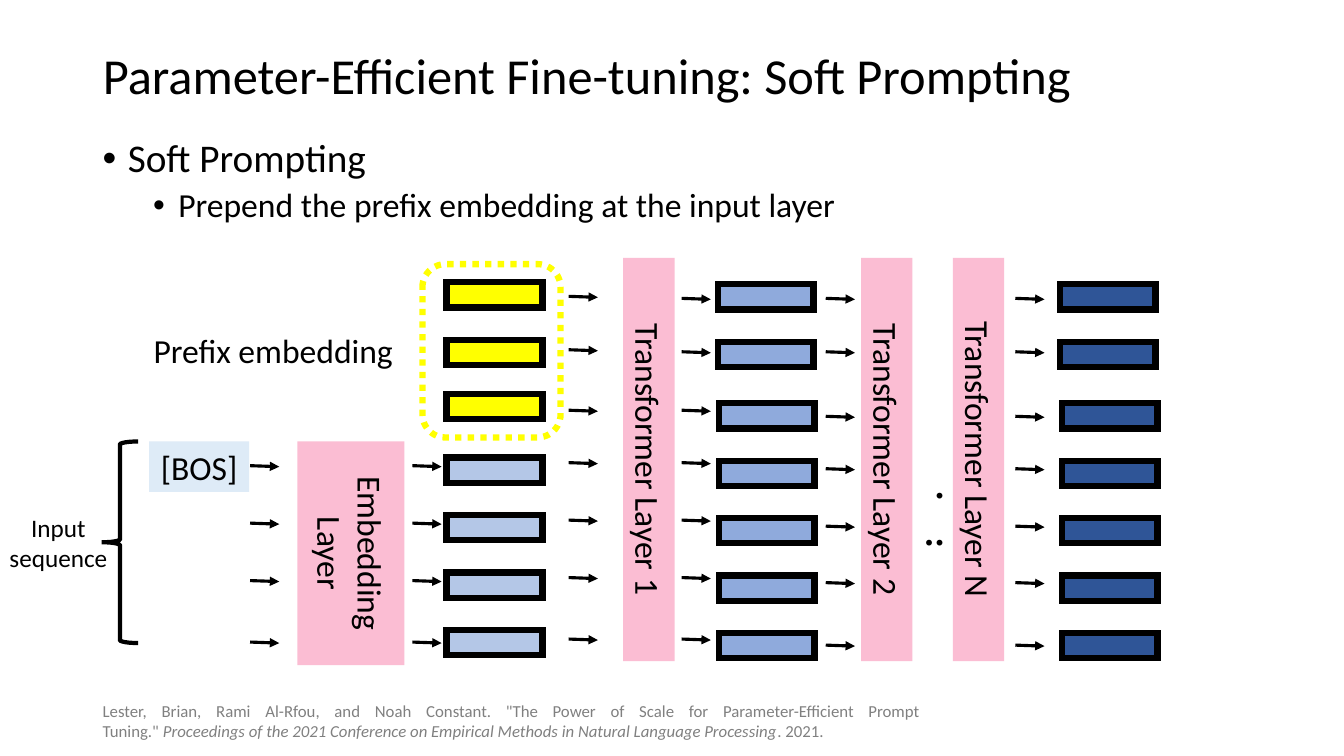
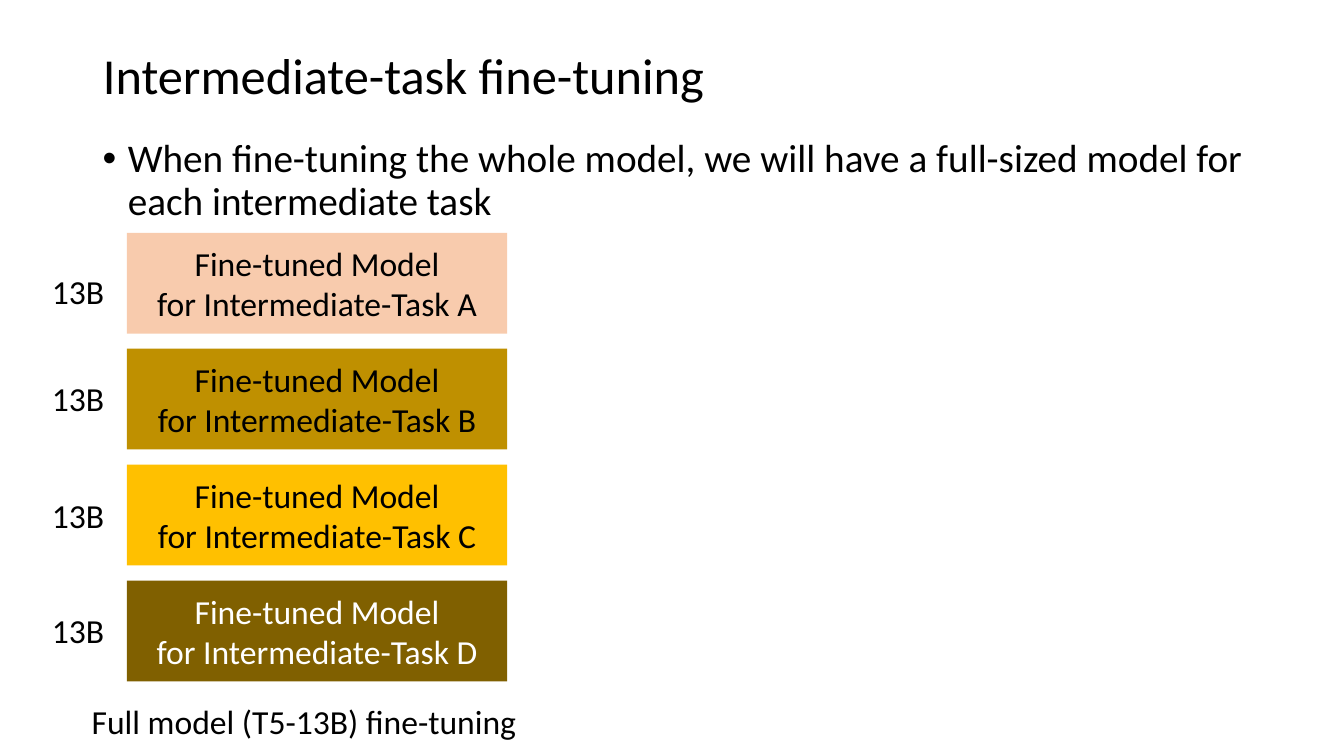
from lxml.etree import SubElement
from pptx import Presentation
from pptx.dml.color import RGBColor
from pptx.enum.dml import MSO_LINE
from pptx.enum.shapes import MSO_CONNECTOR, MSO_SHAPE
from pptx.enum.text import MSO_ANCHOR, MSO_AUTO_SIZE, PP_ALIGN
from pptx.oxml.ns import qn
from pptx.util import Inches, Pt

FONT = "Calibri"
BLACK, WHITE, GREY = "000000", "FFFFFF", "808080"
PINK, YELLOW, PALE_BLUE = "FBBDD3", "FFFF00", "DEEBF7"
EMBEDDING_BLUE, HIDDEN_BLUE, OUTPUT_BLUE = "B4C7E7", "8FAADC", "2F5597"
TITLE_ONLY = 5
HARD_SPACE = chr(160)

ROW_STEP = 0.57
TOKEN_ROWS = [4.54 + ROW_STEP * row for row in range(4)]
PREFIX_ROWS = [2.82, 2.82 + ROW_STEP]
LAYER_ROWS = [4 + ROW_STEP * row for row in range(5)]
TOKEN_ARROWS = [4.62, 5.19, 5.76, 6.37]
PREFIX_ARROWS = [2.94, 3.47, 4.07, 4.59, 5.16, 5.73, 6.34]
HIDDEN_ARROWS = [2.96, 3.49, 4.07, 4.59, 5.16, 5.73, 6.34]
LAYER_ARROWS = [2.96, 3.49, 4.13, 4.65, 5.22, 5.78, 6.4]


def rgb(color):
    """Turn a hex string into a colour."""
    return RGBColor.from_string(color)


def add_span(para, text, size=24, color=BLACK, bold=False, italic=False):
    """Append a formatted run to a paragraph."""
    span = para.add_run()
    span.text = text
    span.font.name = FONT
    span.font.size = Pt(size)
    span.font.bold = bold
    span.font.italic = italic
    span.font.color.rgb = rgb(color)


def write(frame, text, align=PP_ALIGN.CENTER, **style):
    """Fill a text frame with one paragraph per line of text."""
    for index, line in enumerate(text.split("\n")):
        para = frame.add_paragraph() if index else frame.paragraphs[0]
        para.alignment = align
        add_span(para, line, **style)


def add_label(page, text, left, top, width, height, **style):
    """Add a wrapping text box."""
    box = page.shapes.add_textbox(
        Inches(left), Inches(top), Inches(width), Inches(height))
    box.text_frame.word_wrap = True
    write(box.text_frame, text, **style)
    return box


def add_box(page, left, top, width, height, fill=None, line=None, weight=4.5,
            kind=MSO_SHAPE.RECTANGLE, text="", color=BLACK):
    """Add a preset shape with optional fill, sharp outline and text."""
    box = page.shapes.add_shape(
        kind, Inches(left), Inches(top), Inches(width), Inches(height))
    box.shadow.inherit = False
    if fill:
        box.fill.solid()
        box.fill.fore_color.rgb = rgb(fill)
    else:
        box.fill.background()
    if line:
        box.line.color.rgb = rgb(line)
        box.line.width = Pt(weight)
        SubElement(box.line._get_or_add_ln(), qn("a:miter"), lim="800000")
    else:
        box.line.fill.background()
    if text:
        box.text_frame.vertical_anchor = MSO_ANCHOR.MIDDLE
        write(box.text_frame, text, color=color)
    return box


def add_layer(page, text, left, top, width, height):
    """Add an upright pink bar whose text reads downwards."""
    shift = (width - height) / 2
    bar = add_box(page, left + shift, top - shift, height, width,
                  fill=PINK, text=text)
    bar.rotation = 90


def add_vectors(page, left, tops, fill):
    """Add a column of outlined vector blocks."""
    for top in tops:
        add_box(page, left, top, 0.95, 0.25, fill=fill, line=BLACK)


def add_arrows(page, left, tops):
    """Add a column of short arrows pointing right."""
    for top in tops:
        arrow = page.shapes.add_connector(
            MSO_CONNECTOR.STRAIGHT, Inches(left), Inches(top),
            Inches(left + 0.29), Inches(top + 0.01))
        arrow.line.color.rgb = rgb(BLACK)
        arrow.line.width = Pt(2.25)
        SubElement(arrow.line._get_or_add_ln(), qn("a:tailEnd"), type="triangle")
        SubElement(arrow._element.spPr, qn("a:effectLst"))


def add_page(deck, title):
    """Add a slide and format its title placeholder."""
    page = deck.slides.add_slide(deck.slide_layouts[TITLE_ONLY])
    box = page.shapes.title
    box.left, box.top = Inches(0.92), Inches(0.4)
    box.width, box.height = Inches(11.5), Inches(0.75)
    frame = box.text_frame
    frame.auto_size = MSO_AUTO_SIZE.NONE
    frame.vertical_anchor = MSO_ANCHOR.MIDDLE
    write(frame, title, align=PP_ALIGN.LEFT, size=36)
    frame.paragraphs[0].line_spacing = 0.9
    return page


def add_bullets(page, items):
    """Add the body text, one bullet for each level deeper."""
    box = add_label(page, "\n".join(items), 0.92, 1.33, 11.5, 5.42,
                    align=PP_ALIGN.JUSTIFY, size=28)
    for level, para in enumerate(box.text_frame.paragraphs):
        props = para._p.get_or_add_pPr()
        props.set("marL", str(Inches(0.25 + 0.5 * level)))
        props.set("indent", str(Inches(-0.25)))
        SubElement(props, qn("a:buFont"), typeface="Arial")
        SubElement(props, qn("a:buChar"), char="•")
        para.level = level
        para.line_spacing = 0.9
        if level:
            para.space_before = Pt(5)
            para.runs[0].font.size = Pt(24)


def add_citation(page):
    """Add the grey reference at the foot of the slide."""
    style = {"size": 12, "color": GREY}
    box = add_label(
        page, 'Lester, Brian, Rami Al-Rfou, and Noah Constant. "The Power of '
        'Scale for Parameter-Efficient Prompt Tuning."' + HARD_SPACE,
        0.92, 6.95, 8.31, 0.4, align=PP_ALIGN.JUSTIFY, **style)
    box.text_frame.vertical_anchor = MSO_ANCHOR.MIDDLE
    para = box.text_frame.paragraphs[0]
    add_span(para, "Proceedings of the 2021 Conference on Empirical Methods in "
             "Natural Language Processing", italic=True, **style)
    add_span(para, ". 2021.", **style)


def build_soft_prompting(deck):
    """Build the diagram of prefix embeddings passing through the layers."""
    page = add_page(deck, "Parameter-Efficient Fine-tuning: Soft Prompting")
    add_bullets(page, ["Soft Prompting",
                       "Prepend the prefix embedding at the input layer"])

    add_box(page, 1.01, 4.38, 0.36, 2, line=BLACK, weight=3,
            kind=MSO_SHAPE.LEFT_BRACE)
    add_label(page, "Input\nsequence", -0.02, 5.03, 1.2, 0.71, size=18)
    add_box(page, 1.48, 4.38, 0.99, 0.5, fill=PALE_BLUE, text="[BOS]")
    add_label(page, "Prefix embedding", 1.2, 3.22, 3.02, 0.5)
    frame = add_box(page, 4.19, 2.62, 1.37, 1.72, line=YELLOW,
                    kind=MSO_SHAPE.ROUNDED_RECTANGLE)
    frame.line.dash_style = MSO_LINE.ROUND_DOT

    add_layer(page, "Embedding Layer", 2.95, 4.38, 1.06, 2.22)
    for name, left in (("1", 6.18), ("2", 8.54), ("N", 9.45)):
        add_layer(page, f"Transformer Layer {name}", left, 2.56, 0.51, 4)
    dots = add_label(page, "...", 8.98, 5.23, 0.49, 0.57,
                     align=PP_ALIGN.LEFT, size=28, bold=True)
    dots.text_frame.auto_size = MSO_AUTO_SIZE.SHAPE_TO_FIT_TEXT
    dots.rotation = 180

    for left, tops, fill in ((4.43, [2.8, 3.37, 3.91], YELLOW),
                             (4.43, TOKEN_ROWS, EMBEDDING_BLUE),
                             (7.12, PREFIX_ROWS, HIDDEN_BLUE),
                             (7.13, LAYER_ROWS, HIDDEN_BLUE),
                             (10.51, PREFIX_ROWS, OUTPUT_BLUE),
                             (10.53, LAYER_ROWS, OUTPUT_BLUE)):
        add_vectors(page, left, tops, fill)
    for left, tops in ((2.48, TOKEN_ARROWS), (4.09, TOKEN_ARROWS),
                       (5.64, PREFIX_ARROWS), (6.76, HIDDEN_ARROWS),
                       (8.19, LAYER_ARROWS), (10.07, LAYER_ARROWS)):
        add_arrows(page, left, tops)
    add_citation(page)


def build_intermediate_task(deck):
    """Build the stack of full-sized models, one for each task."""
    page = add_page(deck, "Intermediate-task fine-tuning")
    add_bullets(page, ["When fine-tuning the whole model, we will have a "
                       "full-sized model for each intermediate task"])
    models = (("A", "F8CBAD", BLACK, 2.64), ("B", "BF9000", BLACK, 3.7),
              ("C", "FFC000", BLACK, 4.86), ("D", "806000", WHITE, 6))
    for row, (task, fill, color, label_top) in enumerate(models):
        add_box(page, 1.26, 2.31 + 1.15 * row, 3.77, 1, fill=fill, color=color,
                text=f"Fine-tuned Model\nfor Intermediate-Task {task}")
        add_label(page, "13B", 0.33, label_top, 0.89, 0.5)
    add_label(page, "Full model (T5-13B) fine-tuning", 0.7, 6.9, 4.63, 0.5)


def main():
    """Build and save the deck."""
    deck = Presentation()
    deck.slide_width, deck.slide_height = Inches(13.33), Inches(7.5)
    build_soft_prompting(deck)
    build_intermediate_task(deck)
    deck.save("out.pptx")


if __name__ == "__main__":
    main()
